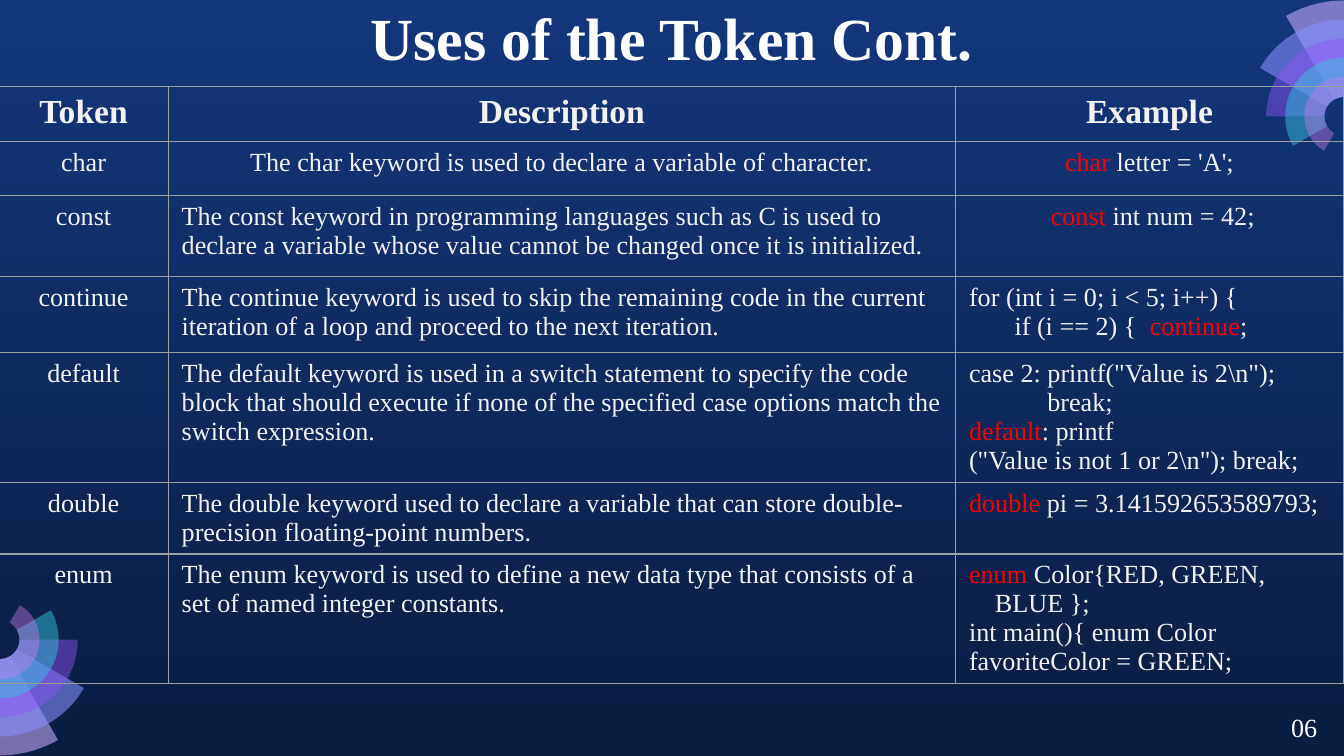
from math import cos, radians, sin, tan

from lxml.etree import SubElement
from pptx import Presentation
from pptx.dml.color import RGBColor
from pptx.enum.text import PP_ALIGN
from pptx.oxml.ns import qn
from pptx.util import Cm, Pt

FONT = "Times New Roman"
PALE, WHITE, RED, GREY = "F2F2F2", "FFFFFF", "FF0000", "9E9E9E"
WIDE, HIGH = 25.4, 14.29
COLS = [3.2, 14.88, 7.33]
ROWS = [1.04, 1.02, 1.52, 1.45, 2.45, 1.35, 2.44]
RINGS = [("C8ACFD", 58), ("878FFF", 58), ("9154F8", 46), ("35C2DF", 49), ("CA7BEB", 42)]
HEADS = ["Token", "Description", "Example"]
TOKENS = [
    ("char", "The char keyword is used to declare a variable of character.",
     [("*char* letter = 'A';", 0)]),
    ("const", "The const keyword in programming languages such as C is used to declare "
     "a variable whose value cannot be changed once it is initialized.",
     [(" *const* int num = 42;", 0)]),
    ("continue", "The continue keyword is used to skip the remaining code in the current "
     "iteration of a loop and proceed to the next iteration.",
     [("for (int i = 0; i < 5; i++) {", 0), ("if (i == 2) {  *continue*;", 0.86)]),
    ("default", "The default keyword is used in a switch statement to specify the code block "
     "that should execute if none of the specified case options match the switch expression.",
     [(r'case 2: printf("Value is 2\n");', 0), ("break;", 1.48),
      ("*default*: printf", 0), (r'("Value is not 1 or 2\n"); break;', 0)]),
    ("double", "The double keyword used to declare a variable that can store "
     "double-precision floating-point numbers.",
     [("*double* pi = 3.141592653589793;", 0)]),
    ("enum", "The enum keyword is used to define a new data type that consists of "
     "a set of named integer constants.",
     [("*enum* Color{RED, GREEN,", 0), ("BLUE };", 0.49),
      ("int main(){ enum Color favoriteColor = GREEN;", 0)]),
]


def color(code):
    """Turn a hex string into a colour."""
    return RGBColor.from_string(code)


def write(para, text, size=14, ink=PALE, bold=False, mid=False, indent=0):
    """Write text into a paragraph, with parts between asterisks in red."""
    para.alignment = PP_ALIGN.CENTER if mid else PP_ALIGN.LEFT
    para.line_spacing = Pt(round(size * 1.107, 1))
    if indent:
        props = para._p.get_or_add_pPr()
        props.set("marL", str(Cm(indent)))
        props.set("indent", "0")
    for i, part in enumerate(text.split("*")):
        if part:
            run = para.add_run()
            run.text = part
            font = run.font
            font.name, font.size, font.bold = FONT, Pt(size), bold
            font.color.rgb = color(RED if i % 2 else ink)


def label(slide, text, left, top, width, height, inset=0.13, **style):
    """Add a text box with one paragraph."""
    box = slide.shapes.add_textbox(Cm(left), Cm(top), Cm(width), Cm(height))
    frame = box.text_frame
    frame.word_wrap = True
    frame.margin_top = Cm(inset)
    write(frame.paragraphs[0], text, **style)


def bend(line, shape, x, y, r, start, end):
    """Turn a straight path segment into a circular arc."""
    pull = 4 / 3 * tan(radians(end - start) / 4)
    line.tag = qn("a:cubicBezTo")
    for angle, k in ((radians(start), pull), (radians(end), -pull)):
        px = Cm(x + r * (cos(angle) - k * sin(angle))) - shape.left
        py = Cm(y + r * (sin(angle) + k * cos(angle))) - shape.top
        SubElement(line, qn("a:pt"), x=str(px), y=str(py))
    line.append(line[0])


def sector(slide, x, y, inner, outer, angles, fill, alpha):
    """Draw a translucent ring sector through the given angles."""
    ends = [(outer, a) for a in angles] + [(inner, a) for a in reversed(angles)]
    points = [(Cm(x + r * cos(radians(a))), Cm(y + r * sin(radians(a)))) for r, a in ends]
    pen = slide.shapes.build_freeform(*points[0])
    pen.add_line_segments(points[1:], close=True)
    shape = pen.convert_to_shape()
    lines = list(shape._element.iter(qn("a:lnTo")))
    for line, (r, start), (next_r, end) in zip(lines, ends, ends[1:]):
        if r == next_r:
            bend(line, shape, x, y, r, start, end)
    shape.shadow.inherit = False
    shape.line.fill.background()
    shape.fill.solid()
    shape.fill.fore_color.rgb = color(fill)
    tint = shape._element.spPr.find(".//" + qn("a:srgbClr"))
    SubElement(tint, qn("a:alpha"), val=str(alpha * 1000))


def fan(slide, x, y, turn):
    """Draw five sectors, each shorter and wider than the one before."""
    for i, (fill, alpha) in enumerate(RINGS):
        first = 60 - 30 * i
        angles = [turn + a for a in sorted({first, max(first, 0), 90})]
        sector(slide, x, y, 0.37, 2.19 - 0.36 * i, angles, fill, alpha)


def border(cell):
    """Give a cell thin grey edges and no fill."""
    props = cell._tc.get_or_add_tcPr()
    for side in ("lnL", "lnR", "lnT", "lnB"):
        line = SubElement(props, qn("a:" + side), w=str(Pt(0.75)))
        fill = SubElement(line, qn("a:solidFill"))
        SubElement(fill, qn("a:srgbClr"), val=GREY)
    cell.fill.background()


def grid(slide):
    """Add the table of tokens."""
    frame = slide.shapes.add_table(len(ROWS), len(COLS), Cm(-0.02), Cm(1.64),
                                   Cm(sum(COLS)), Cm(sum(ROWS)))
    table = frame.table
    table.horz_banding = False
    for col, width in zip(table.columns, COLS):
        col.width = Cm(width)
    for row, height in zip(table.rows, ROWS):
        row.height = Cm(height)
    for r, texts in enumerate([HEADS] + TOKENS):
        for c, text in enumerate(texts):
            cell = table.cell(r, c)
            border(cell)
            lines = [(text, 0)] if isinstance(text, str) else text
            mid = c == 0 or r < 2 or (r, c) == (2, 2)
            for i, (line, indent) in enumerate(lines):
                body = cell.text_frame
                para = body.add_paragraph() if i else body.paragraphs[0]
                write(para, line, size=14 if r else 18, bold=r == 0, mid=mid, indent=indent)


def paint(slide):
    """Fill the background with a downward gradient."""
    fill = slide.background.fill
    fill.gradient()
    fill.gradient_angle = 270
    for stop, code, place in zip(fill.gradient_stops, ("13367C", "0A1D42"), (0, 1)):
        stop.color.rgb = color(code)
        stop.position = place


def main():
    """Build the slide and save it."""
    deck = Presentation()
    deck.slide_width, deck.slide_height = Cm(WIDE), Cm(HIGH)
    slide = deck.slides.add_slide(deck.slide_layouts[6])
    paint(slide)
    fan(slide, 0, HIGH - 2.2, 0)
    fan(slide, WIDE, 2.2, 180)
    label(slide, "Uses of the Token Cont.", 6.6, -0.13, 12.2, 1.5,
          inset=0.25, size=32, ink=WHITE, bold=True, mid=True)
    grid(slide)
    label(slide, "06", 24.15, 13.36, 1.07, 0.86, ink=WHITE)
    deck.save("out.pptx")


if __name__ == "__main__":
    main()
